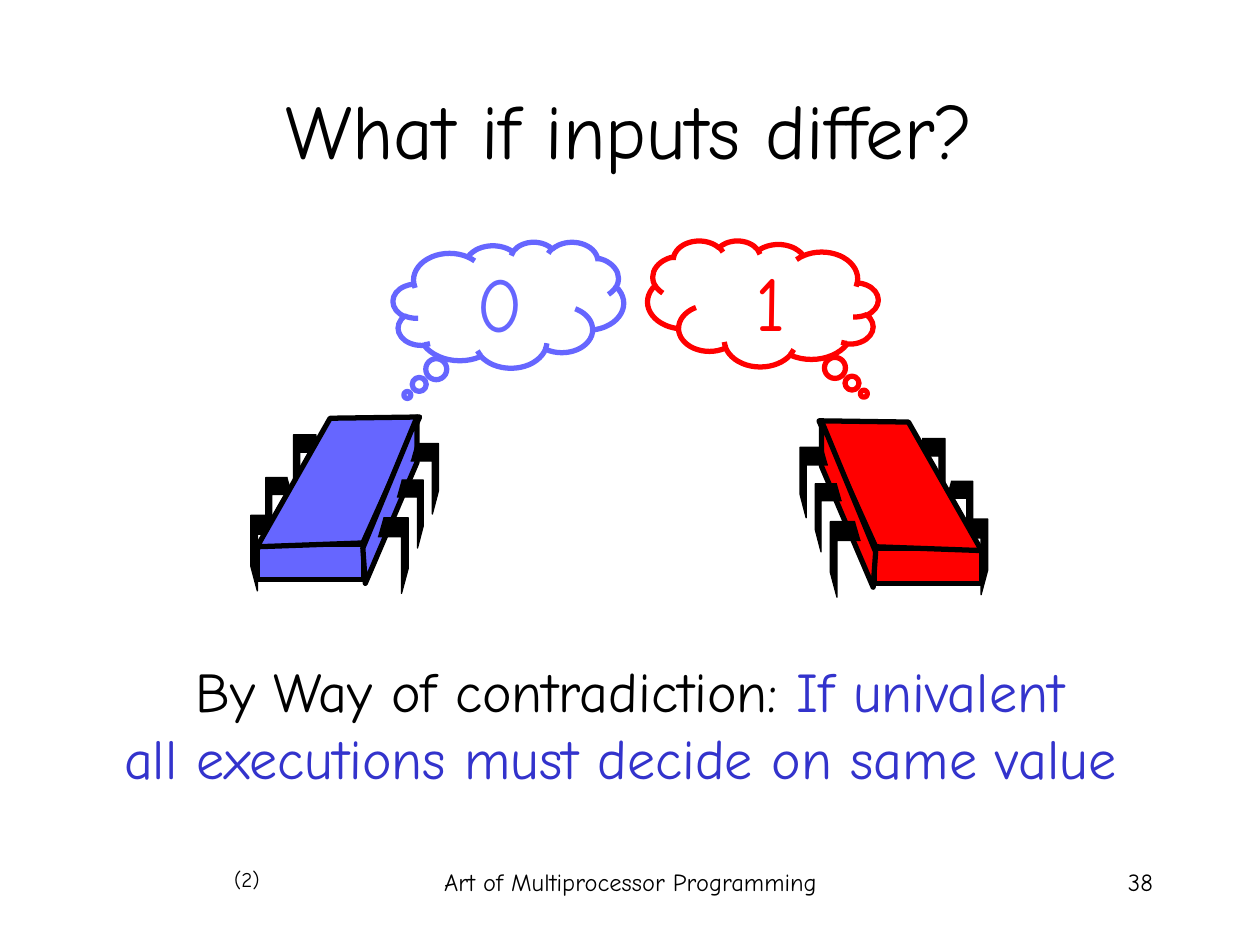
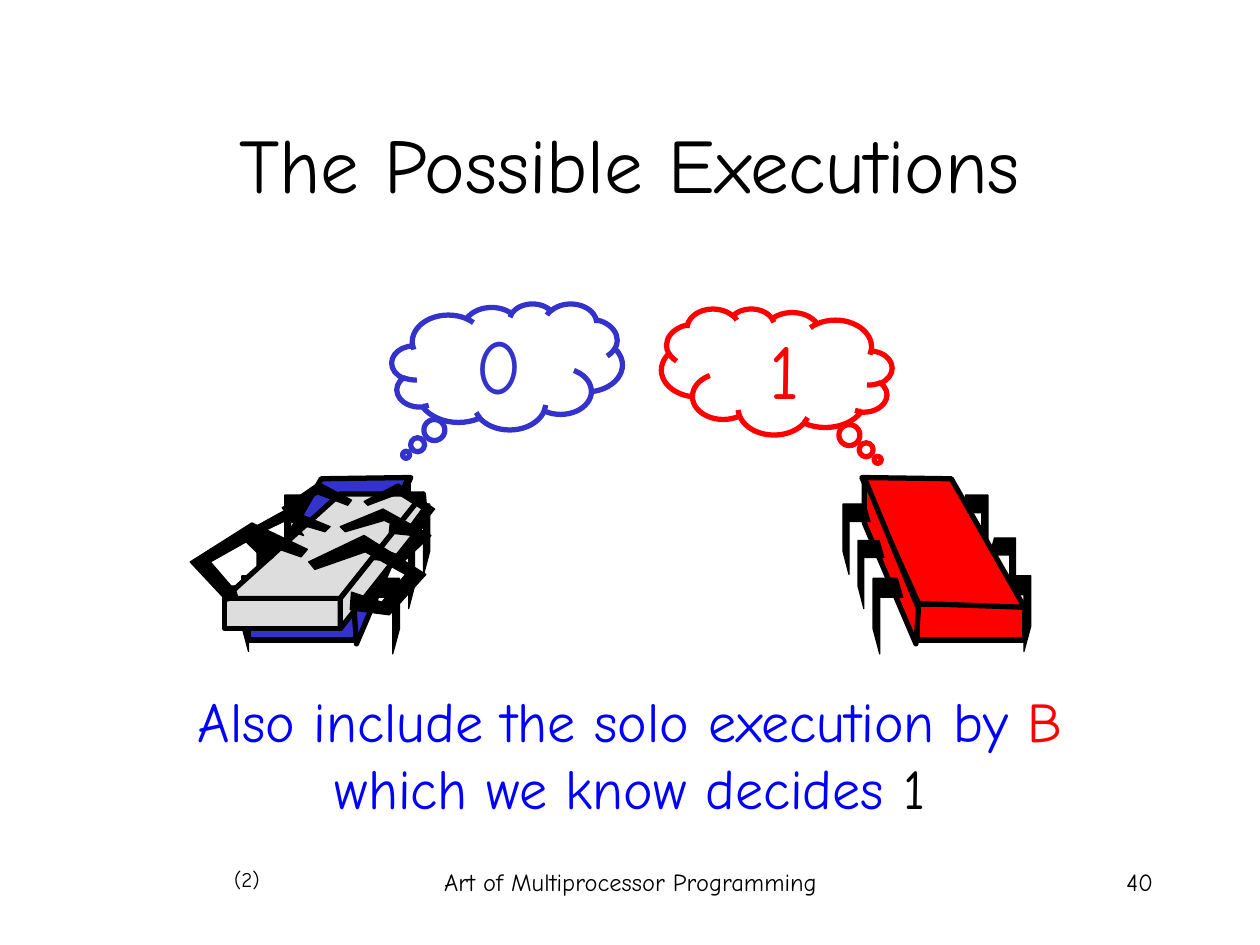
from pptx import Presentation
from pptx.dml.color import RGBColor
from pptx.enum.shapes import MSO_SHAPE as Preset
from pptx.enum.text import MSO_ANCHOR as Anchor, MSO_AUTO_SIZE as AutoSize, PP_ALIGN as Align
from pptx.oxml.ns import qn
from pptx.util import Inches, Pt

FONT = "Comic Neue"
BLACK, RED, GREY = "000000", "FF0000", "DDDDDD"
LIGHT_BLUE, DARK_BLUE, PURE_BLUE = "6666FF", "3333CC", "0000FF"

# Robot geometry in inches, measured from its top left corner
ROBOT_WIDTH = 1.49
ROBOT_TOP = [(0.05, 1.03), (0.89, 1), (1.34, 0), (0.63, 0.01)]
ROBOT_SIDE = [(1.32, 0), (1.32, 0.36), (0.91, 1.32), (0.89, 1.04)]
LEG_OUTLINE = [(0.82, 0), (0, 0), (0, 0.67), (0.22, 1), (0.22, 0.25), (1, 0.25)]
LEG_SIZES = [(0.24, 0.6), (0.21, 0.54), (0.22, 0.56)]
LEFT_LEGS = [(0, 0.78), (0.12, 0.48), (0.34, 0.14)]
RIGHT_LEGS = [(1.25, 0.8), (1.37, 0.5), (1.49, 0.21)]

# Grey robot that walks over the blue one, in slide inches
GREY_TOP = [(3.36, 3.92), (2.7, 4.75), (1.78, 4.75), (2.7, 3.92)]
GREY_SIDE = [(3.36, 3.92), (3.38, 4.13), (2.7, 4.99), (2.7, 4.75)]
GREY_LEGS = [
    [(2.79, 4.7), (2.78, 4.84), (3.09, 4.88), (3.38, 4.56), (2.89, 4.25),
     (2.45, 4.46), (2.5, 4.52), (2.9, 4.38), (3.22, 4.56), (3.03, 4.78)],
    [(2.97, 4.34), (2.96, 4.44), (3.2, 4.46), (3.42, 4.25), (3.04, 4.04),
     (2.7, 4.18), (2.74, 4.22), (3.05, 4.13), (3.3, 4.25), (3.15, 4.4)],
    [(3.1, 4.13), (3.09, 4.23), (3.28, 4.25), (3.45, 4.04), (3.16, 3.84),
     (2.89, 3.98), (2.92, 4.01), (3.16, 3.92), (3.35, 4.04), (3.24, 4.19)],
    [(2.2, 4.34), (2.17, 4.42), (2.12, 4.46), (1.9, 4.25), (2.28, 4.04),
     (2.62, 4.18), (2.58, 4.22), (2.27, 4.13), (2.02, 4.25), (2.17, 4.4)],
    [(2.44, 4.13), (2.32, 4.22), (2.41, 4.25), (2.24, 4.03), (2.53, 3.83),
     (2.79, 3.97), (2.76, 4.01), (2.52, 3.92), (2.33, 4.03), (2.44, 4.18)],
    [(1.84, 4.7), (1.87, 4.68), (1.89, 4.75), (1.8, 4.77), (1.51, 4.46),
     (2, 4.15), (2.44, 4.36), (2.39, 4.42), (1.99, 4.28), (1.67, 4.46),
     (1.86, 4.68), (1.84, 4.65), (1.9, 4.65)],
]


def rgb(hex_string):
    return RGBColor.from_string(hex_string)


class Deck:
    """Holds the shared style and the slide being built."""

    def __init__(self):
        self.presentation = Presentation()
        self.presentation.slide_width = Inches(10)
        self.presentation.slide_height = Inches(7.5)
        self.slide = None

    def add_slide(self, title, title_top, number):
        self.slide = self.presentation.slides.add_slide(self.presentation.slide_layouts[5])
        shape = self.slide.shapes.title
        shape.left, shape.top = Inches(0.75), Inches(title_top)
        shape.width, shape.height = Inches(8.5), Inches(1.25)
        self.set_text(shape.text_frame, [[(title, BLACK)]], 44, anchor=Anchor.MIDDLE)
        # Footer
        self.text((1.76, 6.83, 0.4, 0.3), [[("(2)", BLACK)]], 12, Align.RIGHT, wrap=False)
        self.text((3.42, 6.83, 3.17, 0.5), [[("Art of Multiprocessor Programming", BLACK)]], 14)
        self.text((7.17, 6.83, 2.08, 0.5), [[(number, BLACK)]], 14, Align.RIGHT)

    def set_text(self, frame, lines, size, align=Align.CENTER, anchor=Anchor.TOP, wrap=True):
        """Fill a text frame; each line is a list of (text, colour) runs."""
        frame.word_wrap = wrap
        frame.auto_size = AutoSize.NONE
        frame.vertical_anchor = anchor
        for index, runs in enumerate(lines):
            paragraph = frame.add_paragraph() if index else frame.paragraphs[0]
            paragraph.alignment = align
            paragraph.font.name, paragraph.font.size = FONT, Pt(size)
            for text, color in runs:
                run = paragraph.add_run()
                run.text = text
                run.font.color.rgb = rgb(color)

    def text(self, box, lines, size, align=Align.CENTER, wrap=True):
        shape = self.slide.shapes.add_textbox(*map(Inches, box))
        self.set_text(shape.text_frame, lines, size, align, wrap=wrap)
        return shape.text_frame

    def paint(self, shape, fill, line, weight):
        shape.shadow.inherit = False
        if fill:
            shape.fill.solid()
            shape.fill.fore_color.rgb = rgb(fill)
        else:
            shape.fill.background()
        shape.line.color.rgb = rgb(line)
        shape.line.width = Pt(weight)

    def rectangle(self, box, fill):
        shape = self.slide.shapes.add_shape(Preset.RECTANGLE, *map(Inches, box))
        self.paint(shape, fill, BLACK, 3)

    def outline(self, points, fill, weight=3, close=True):
        points = [(Inches(x), Inches(y)) for x, y in points]
        builder = self.slide.shapes.build_freeform(*points[0])
        builder.add_line_segments(points[1:], close=close)
        self.paint(builder.convert_to_shape(), fill, BLACK, weight)

    def thought(self, left, top, digit, color, tail, mirrored=False):
        shape = self.slide.shapes.add_shape(
            Preset.CLOUD_CALLOUT, Inches(left), Inches(top), Inches(1.83), Inches(1))
        shape.adjustments[0], shape.adjustments[1] = -0.438, tail
        self.paint(shape, None, color, 3)
        if mirrored:
            shape._element.spPr.find(qn("a:xfrm")).set("flipH", "1")
        self.set_text(shape.text_frame, [[(digit, color)]], 44, anchor=Anchor.MIDDLE)

    def robot(self, left, top, color, mirrored=False):
        def place(points):
            return [(left + (ROBOT_WIDTH - x if mirrored else x), top + y) for x, y in points]

        def legs(corners, direction):
            for (x, y), (width, height) in zip(corners, LEG_SIZES):
                leg = [(x + direction * u * width, y + v * height) for u, v in LEG_OUTLINE]
                self.outline(place(leg), BLACK, 0.75, close=False)

        front_left = ROBOT_WIDTH - 0.9 if mirrored else 0.05
        self.rectangle((left + front_left, top + 1.01, 0.85, 0.28), color)
        legs(LEFT_LEGS, 1)
        self.outline(place(ROBOT_TOP), color)
        self.outline(place(ROBOT_SIDE), color)
        legs(RIGHT_LEGS, -1)

    def grey_robot(self):
        self.outline(GREY_TOP, GREY)
        self.rectangle((1.78, 4.75, 0.92, 0.24), GREY)
        self.outline(GREY_SIDE, GREY)
        for leg in GREY_LEGS:
            self.outline(leg, BLACK, 0.75)


def main():
    deck = Deck()

    # Slide with differing inputs
    deck.add_slide("What if inputs differ?", 0.4, "38")
    deck.robot(6.35, 3.34, RED, mirrored=True)
    deck.thought(5.14, 1.91, "1", RED, 0.715, mirrored=True)
    deck.robot(1.99, 3.31, LIGHT_BLUE)
    deck.thought(3.12, 1.92, "0", LIGHT_BLUE, 0.715)
    deck.text((0, 5.16, 10, 1.17), [
        [("By Way of contradiction: ", BLACK), ("If univalent", DARK_BLUE)],
        [("all executions must decide on same value ", DARK_BLUE)],
    ], 32)

    # Slide with the possible executions
    deck.add_slide("The Possible Executions", 0.67, "40")
    deck.robot(1.92, 3.79, DARK_BLUE)
    deck.thought(3.11, 2.41, "0", DARK_BLUE, 0.7)
    deck.robot(6.69, 3.79, RED, mirrored=True)
    deck.thought(5.25, 2.45, "1", RED, 0.7, mirrored=True)
    frame = deck.text((0.75, 5.5, 8.5, 1.17), [
        [("Also include the solo execution by ", PURE_BLUE), ("B", RED)],
        [("which we know decides ", PURE_BLUE), ("1", BLACK)],
    ], 32)
    for paragraph in frame.paragraphs:
        paragraph.line_spacing = 0.8
        properties = paragraph._p.get_or_add_pPr()
        properties.set("marL", str(Inches(0.38)))
        properties.set("indent", str(-Inches(0.38)))
    frame.paragraphs[1].space_before = Pt(8)
    deck.grey_robot()

    deck.presentation.save("out.pptx")


if __name__ == "__main__":
    main()
